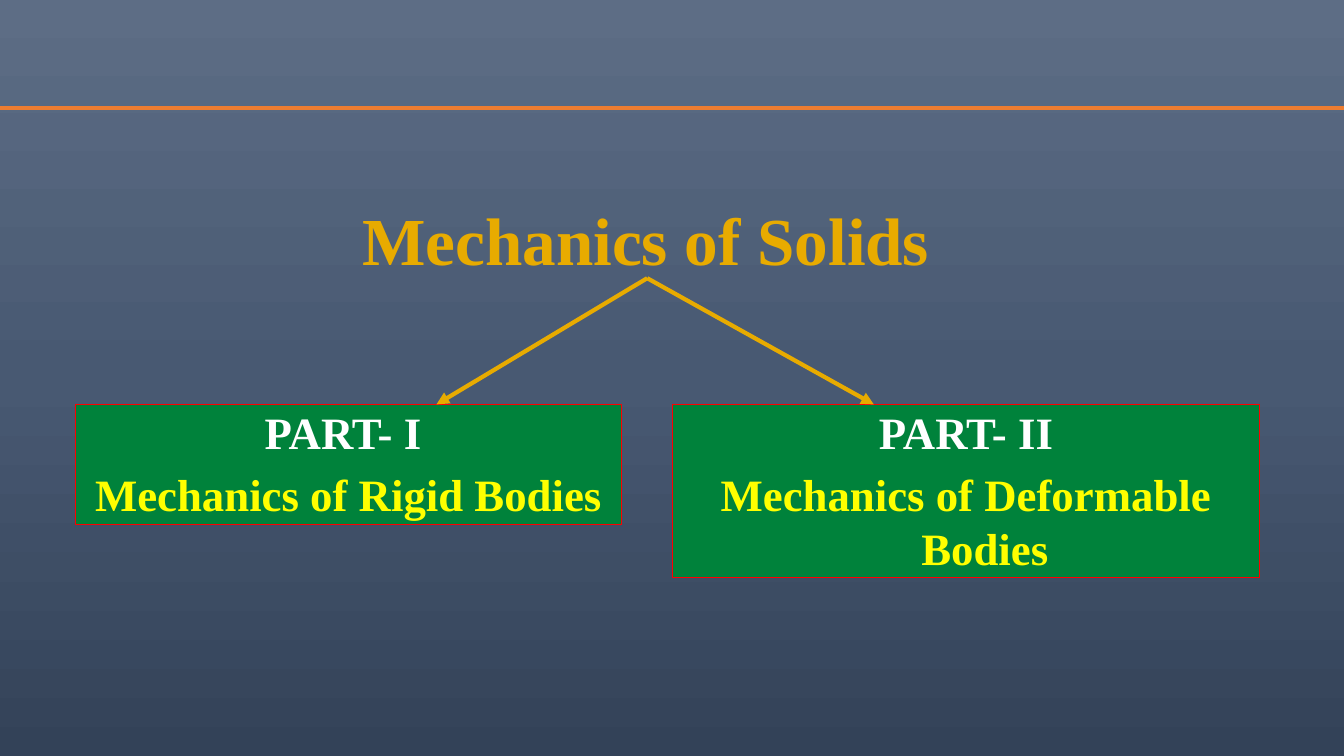
from copy import deepcopy
from pptx import Presentation
from pptx.dml.color import RGBColor as Rgb
from pptx.enum.shapes import MSO_CONNECTOR as Line, MSO_SHAPE as Preset
from pptx.enum.text import MSO_ANCHOR as Anchor, MSO_AUTO_SIZE as AutoSize, PP_ALIGN as Align
from pptx.oxml.ns import qn
from pptx.util import Cm, Pt

# Content
SUBJECT = "Mechanics of Solids"
# Each part: heading, topic, left, width, height, arrow tip x (cm)
PARTS = [
    ("PART- I ", "Mechanics of Rigid Bodies", 1.9, 13.77, 3.02, 11.0),
    ("PART- II", "Mechanics of Deformable Bodies", 16.94, 14.81, 4.37, 22.02),
]

THEME = dict(
    font="Times New Roman", subject_size=48, part_size=32,
    gold="E8AB00", heading="FFFFFF", topic="FFFF00",
    box="00823B", border="FF0000", rule="ED7D31",
    background=[(0, "5D6D85"), (0.5, "485972"), (1, "334258")],
)

# Layout (cm)
SLIDE_W, SLIDE_H = 33.87, 19.05
RULE_Y = 2.72
SUBJECT_BOX = (7.9, 2.97, 16.76, 3.48)
FORK = (16.31, 7.01)
PARTS_TOP = 10.19
HANGING = Cm(0.95)


def color(name):
    return Rgb.from_string(THEME[name])


def add_line(start, end, color_name, width, arrow=False):
    line = slide.shapes.add_connector(Line.STRAIGHT, *map(Cm, start + end))
    line.line.color.rgb = color(color_name)
    line.line.width = Pt(width)
    properties = line._element.spPr
    if arrow:
        head = properties.find(qn("a:ln")).makeelement(qn("a:tailEnd"), {"type": "triangle"})
        properties.find(qn("a:ln")).append(head)
    properties.append(properties.makeelement(qn("a:effectLst"), {}))


def write(shape, lines, size, line_spacing=1.0):
    """Fill a shape with centred bold lines given as (text, color name)."""
    frame = shape.text_frame
    frame.margin_left = frame.margin_right = frame.margin_top = frame.margin_bottom = 0
    frame.word_wrap = True
    frame.auto_size = AutoSize.SHAPE_TO_FIT_TEXT
    frame.vertical_anchor = Anchor.TOP
    frame.text = "\n".join(text for text, _ in lines)
    for paragraph, (_, color_name) in zip(frame.paragraphs, lines):
        paragraph.alignment = Align.CENTER
        paragraph.line_spacing = line_spacing
        paragraph.space_before = Pt(size * 0.2)
        indents = paragraph._p.get_or_add_pPr()
        indents.set("marL", str(HANGING))
        indents.set("indent", str(-HANGING))
        font = paragraph.runs[0].font
        font.name, font.size, font.bold = THEME["font"], Pt(size), True
        font.color.rgb = color(color_name)


deck = Presentation()
deck.slide_width, deck.slide_height = Cm(SLIDE_W), Cm(SLIDE_H)
slide = deck.slides.add_slide(deck.slide_layouts[6])

# Background gradient, top to bottom
backdrop = slide.background.fill
backdrop.gradient()
backdrop.gradient_angle = 270
stop_list = slide._element.find(".//" + qn("a:gsLst"))
stop_list.append(deepcopy(stop_list[-1]))
for stop, (position, rgb) in zip(backdrop.gradient_stops, THEME["background"]):
    stop.position = position
    stop.color.rgb = Rgb.from_string(rgb)

# Header rule and subject
add_line((0, RULE_Y), (SLIDE_W, RULE_Y), "rule", 2.25)
subject = slide.shapes.add_textbox(*map(Cm, SUBJECT_BOX))
write(subject, [(SUBJECT, "gold")], THEME["subject_size"], line_spacing=2.0)

# Part boxes
for heading, topic, left, width, height, _ in PARTS:
    part = slide.shapes.add_shape(Preset.RECTANGLE, *map(Cm, (left, PARTS_TOP, width, height)))
    part.shadow.inherit = False
    part.fill.solid()
    part.fill.fore_color.rgb = color("box")
    part.line.color.rgb = color("border")
    part.line.width = Pt(0.75)
    write(part, [(heading, "heading"), (topic, "topic")], THEME["part_size"])

# Arrows from the subject to its parts
for *_, tip_x in PARTS:
    add_line(FORK, (tip_x, PARTS_TOP), "gold", 3, arrow=True)

deck.save("out.pptx")
